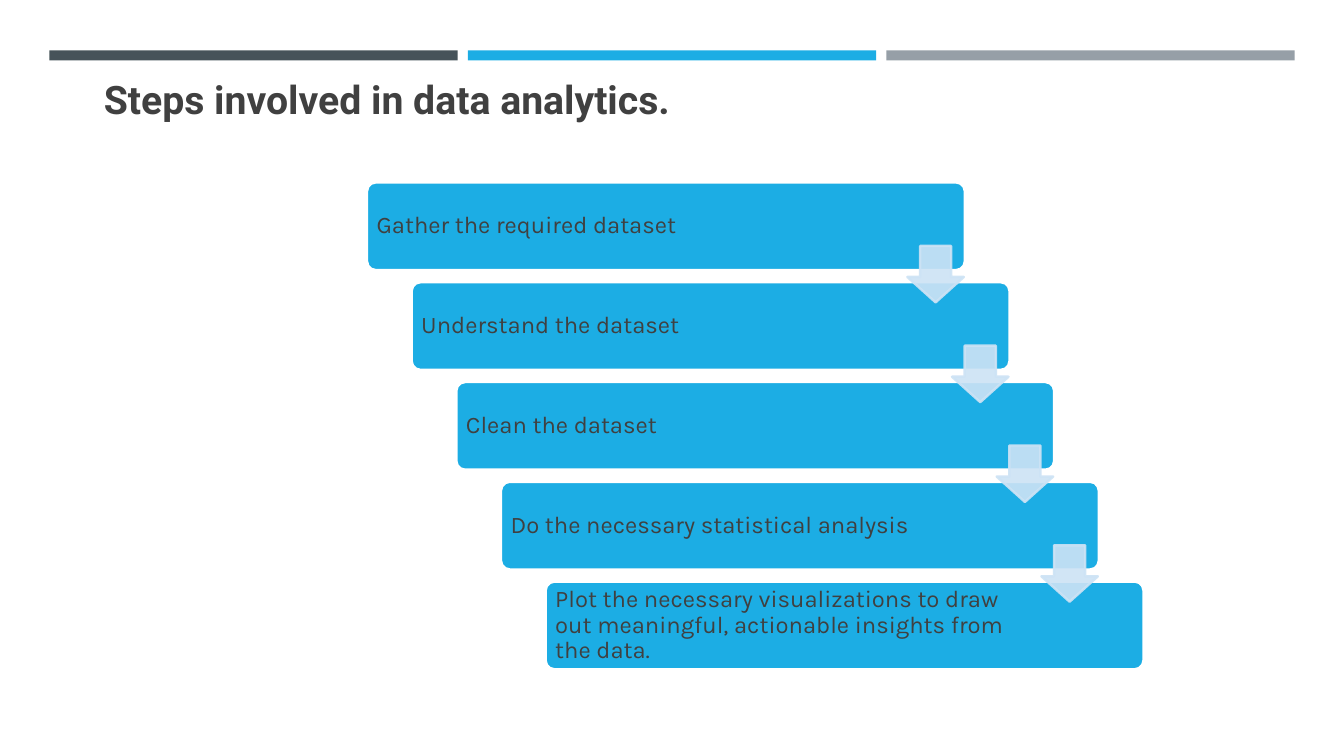
"""Build a slide with the five steps of data analytics as a staircase."""
from lxml import etree
from pptx import Presentation
from pptx.dml.color import RGBColor
from pptx.enum import shapes, text
from pptx.oxml.ns import qn
from pptx.util import Inches, Pt

TITLE = "Steps involved in data analytics."
STEPS = [
    "Gather the required dataset",
    "Understand the dataset",
    "Clean the dataset",
    "Do the necessary statistical analysis",
    "Plot the necessary visualizations to draw out meaningful, "
    "actionable insights from the data.",
]
COLORS = {"slate": "465359", "blue": "1CADE4", "gray": "969FA7",
          "text": "404040", "arrow": "CDE3F5", "white": "FFFFFF"}
BANDS = ["slate", "blue", "gray"]

BAND_LEFT, BAND_TOP, BAND_W, BAND_H, BAND_PITCH = 0.49, 0.5, 4.05, 0.1, 4.15
STEP_LEFT, STEP_TOP, STEP_W, STEP_H = 3.64, 1.81, 5.93, 0.87
SHIFT_X, SHIFT_Y = 0.443, 0.99
ARROW_LEFT, ARROW_TOP, ARROW_SIZE = 9, 2.44, 0.56


def color(name):
    return RGBColor.from_string(COLORS[name])


def write(shape, words, *, size, font, bold=False, spacing=1.0,
          anchor=text.MSO_ANCHOR.TOP, insets=(0.13, 0.13, 0.13, 0.13)):
    frame = shape.text_frame
    frame.word_wrap = True
    frame.auto_size = text.MSO_AUTO_SIZE.NONE
    frame.vertical_anchor = anchor
    (frame.margin_left, frame.margin_top,
     frame.margin_right, frame.margin_bottom) = map(Inches, insets)
    frame.text = words
    line = frame.paragraphs[0]
    line.alignment = text.PP_ALIGN.LEFT
    line.line_spacing = spacing
    line.font.size, line.font.name, line.font.bold = Pt(size), font, bold
    line.font.color.rgb = color("text")


def draw(slide, kind, box, fill, outline=None, adjust=(), alpha=None):
    shape = slide.shapes.add_shape(kind, *map(Inches, box))
    shape.shadow.inherit = False
    for index, value in enumerate(adjust):
        shape.adjustments[index] = value
    shape.fill.solid()
    shape.fill.fore_color.rgb = color(fill)
    if outline:
        shape.line.color.rgb = color(outline)
        shape.line.width = Pt(1.75)
    else:
        shape.line.fill.background()
    if alpha:
        for tint in shape._element.spPr.iter(qn("a:srgbClr")):
            etree.SubElement(tint, qn("a:alpha"), val=str(alpha * 1000))
    return shape


def main():
    deck = Presentation()
    deck.slide_width, deck.slide_height = Inches(13.33), Inches(7.5)
    slide = deck.slides.add_slide(deck.slide_layouts[5])
    preset = shapes.MSO_SHAPE

    for i, band in enumerate(BANDS):
        box = (BAND_LEFT + i * BAND_PITCH, BAND_TOP, BAND_W, BAND_H)
        draw(slide, preset.RECTANGLE, box, band)

    title = slide.shapes.title
    title.left, title.top = Inches(0.9), Inches(0.62)
    title.width, title.height = Inches(11.53), Inches(0.9)
    write(title, TITLE, size=28, font="Roboto", bold=True)

    for i, words in enumerate(STEPS):
        box = (STEP_LEFT + i * SHIFT_X, STEP_TOP + i * SHIFT_Y, STEP_W, STEP_H)
        step = draw(slide, preset.ROUNDED_RECTANGLE, box, "blue", "white", [0.1])
        write(step, words, size=17, font="Karla", spacing=0.9,
              anchor=text.MSO_ANCHOR.MIDDLE, insets=(0.07, 0.07, 1.09, 0.07))

    for i in range(len(STEPS) - 1):
        box = (ARROW_LEFT + i * SHIFT_X, ARROW_TOP + i * SHIFT_Y,
               ARROW_SIZE, ARROW_SIZE)
        draw(slide, preset.DOWN_ARROW, box, "arrow", "arrow", [0.55, 0.45], 90)

    deck.save("out.pptx")


if __name__ == "__main__":
    main()
